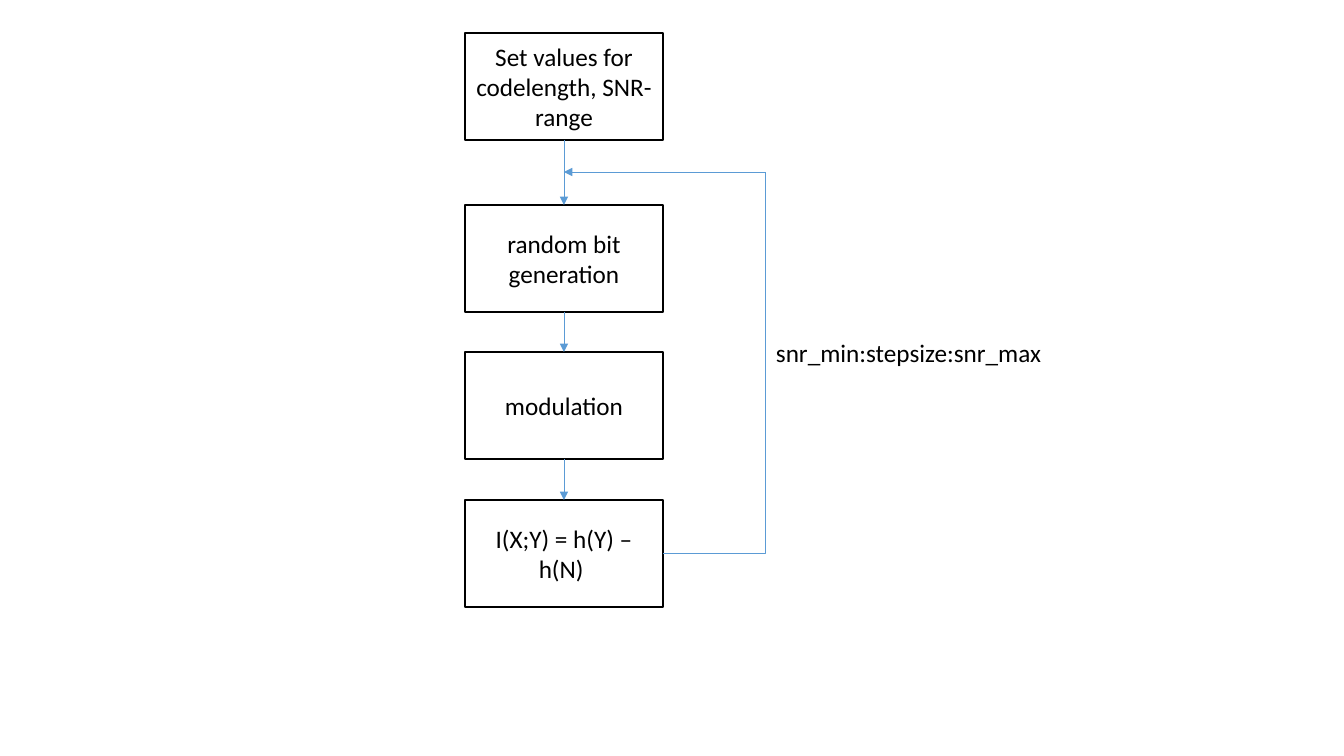
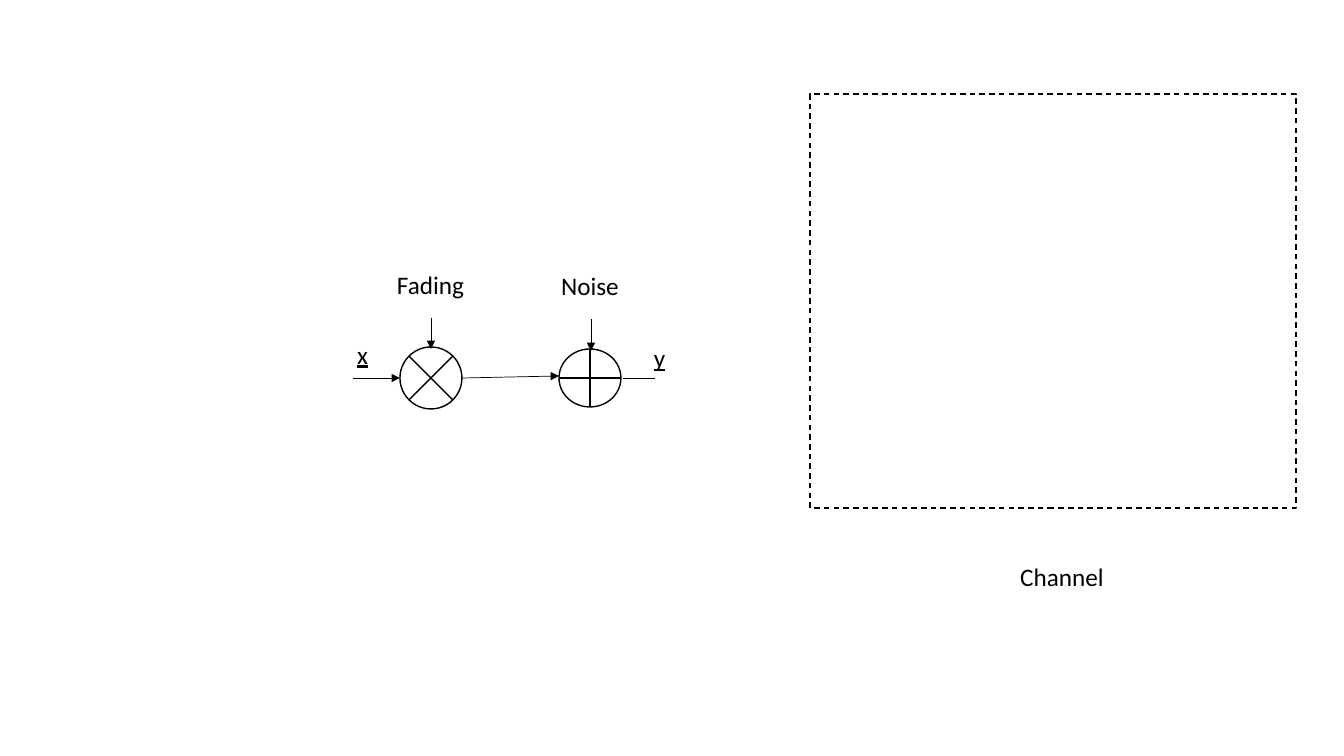
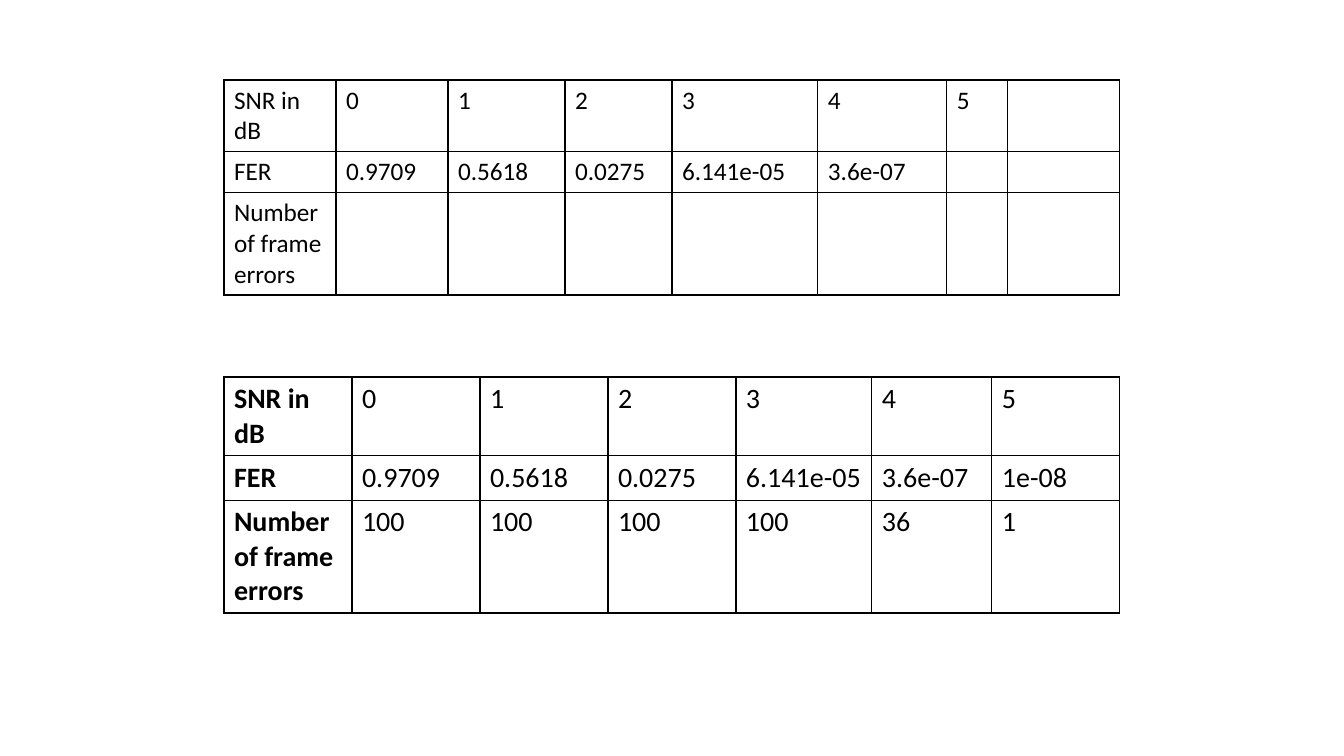
from collections import namedtuple
from dataclasses import dataclass

from lxml import etree
from pptx import Presentation
from pptx.dml.color import RGBColor
from pptx.enum import dml, shapes, text
from pptx.oxml.ns import qn
from pptx.util import Pt

Box = namedtuple("Box", "x y w h")
Form = shapes.MSO_SHAPE
Link = shapes.MSO_CONNECTOR
Align = text.PP_ALIGN


@dataclass(frozen=True)
class Theme:
    font: str = "Calibri"
    ink: str = "000000"
    paper: str = "FFFFFF"
    flow: str = "5B9BD5"
    body: int = 18
    large: int = 20
    edge: float = 1
    thin: float = 0.5


theme = Theme()


def px(n):
    return round(n * 914400 / 100.8)


def tint(code):
    return RGBColor.from_string(code)


def write(frame, words, size=theme.body, align=None, bold=False, under=False):
    para = frame.paragraphs[0]
    para.alignment = align
    run = para.add_run()
    run.text = words
    font = run.font
    font.name, font.size = theme.font, Pt(size)
    font.bold, font.underline = bold, under
    font.color.rgb = tint(theme.ink)


def block(slide, box, words="", form=Form.RECTANGLE, edge=theme.ink):
    item = slide.shapes.add_shape(form, *map(px, box))
    item.shadow.inherit = False
    item.fill.solid()
    item.fill.fore_color.rgb = tint(theme.paper)
    item.line.color.rgb = tint(edge)
    item.line.width = Pt(theme.edge)
    if words:
        item.text_frame.vertical_anchor = text.MSO_ANCHOR.MIDDLE
        write(item.text_frame, words, align=Align.CENTER)
    return item


def label(slide, box, words, **style):
    frame = slide.shapes.add_textbox(*map(px, box)).text_frame
    frame.word_wrap = True
    frame.auto_size = text.MSO_AUTO_SIZE.SHAPE_TO_FIT_TEXT
    write(frame, words, **style)


def link(slide, start, end, color, arrow=True, kind=Link.STRAIGHT):
    line = slide.shapes.add_connector(kind, *map(px, (*start, *end)))
    line.line.color.rgb = tint(color)
    line.line.width = Pt(theme.thin)
    props = line._element.spPr
    etree.SubElement(props, qn("a:effectLst"))
    if arrow:
        etree.SubElement(props.find(qn("a:ln")), qn("a:tailEnd"), type="triangle")
    return line


def flow(slide, box):
    high, mid = 107, box.x + box.w / 2
    steps = (
        (0, "Set values for codelength, SNR-range"),
        (172, "random bit generation"),
        (319, "modulation"),
        (467, "I(X;Y) = h(Y) – h(N) "),
    )
    nodes = [
        block(slide, Box(box.x, box.y + top, box.w, high), words)
        for top, words in steps
    ]
    for (top, _), (low, _), head, foot in zip(steps, steps[1:], nodes, nodes[1:]):
        line = link(slide, (mid, box.y + top + high), (mid, box.y + low), theme.flow)
        line.begin_connect(head, 2)
        line.end_connect(foot, 0)
    side, join = box.x + box.w + 102, box.y + 139
    base = box.y + box.h - high / 2
    turn = link(slide, (box.x + box.w, base), (side, join), theme.flow, False, Link.ELBOW)
    turn._element.spPr.find(qn("a:prstGeom")).set("prst", "bentConnector2")
    link(slide, (side, join), (mid, join), theme.flow)
    label(slide, Box(side + 1, box.y + 299, 291, 40), "snr_min:stepsize:snr_max")


def model(slide, box):
    x, y = box.x, box.y
    axis = y + 126
    block(slide, Box(x + 54, y + 95, 62, 62), form=Form.FLOWCHART_SUMMING_JUNCTION)
    block(slide, Box(x + 213, y + 97, 62, 58), form=Form.FLOWCHART_OR)
    for start, end, arrow in (
        ((x + 7, axis), (x + 54, axis), True),
        ((x + 309, axis), (x + 277, axis), False),
        ((x + 116, axis), (x + 213, axis - 2), True),
        ((x + 85, y + 66), (x + 85, y + 97), True),
        ((x + 245, y + 66), (x + 245, y + 99), True),
    ):
        link(slide, start, end, theme.ink, arrow)
    label(slide, Box(x, y + 82, 32, 40), "x", align=Align.RIGHT, under=True)
    label(slide, Box(x + box.w - 32, y + 85, 32, 40), "y", under=True)
    block(slide, Box(x + 32, y, 105, 65), "Fading", edge=theme.paper)
    block(slide, Box(x + 188, y + 1, 112, 65), "Noise", edge=theme.paper)


def region(slide, box):
    frame = block(slide, box)
    frame.line.dash_style = dml.MSO_LINE.DASH
    tag = Box(box.x + 173, box.y + box.h + 52, 158, 32)
    block(slide, tag, "Channel", edge=theme.paper)


def border(cell):
    props = cell._tc.get_or_add_tcPr()
    for spot, side in enumerate("LRTB"):
        line = etree.Element(qn("a:ln" + side), w=str(Pt(theme.edge)))
        fill = etree.SubElement(line, qn("a:solidFill"))
        etree.SubElement(fill, qn("a:srgbClr"), val=theme.ink)
        props.insert(spot, line)


def grid(slide, box, widths, rows, size, strong=False):
    table = slide.shapes.add_table(len(rows), len(widths), *map(px, box)).table
    table.first_row = table.horz_banding = False
    for col, wide in zip(table.columns, widths):
        col.width = px(wide)
    for r, row in enumerate(rows):
        table.rows[r].height = px(41)
        for c in range(len(widths)):
            cell = table.cell(r, c)
            cell.fill.solid()
            cell.fill.fore_color.rgb = tint(theme.paper)
            border(cell)
            if c < len(row):
                write(cell.text_frame, row[c], size, bold=strong and c == 0)


deck = Presentation()
deck.slide_width, deck.slide_height = px(1344), px(756)
chart, link_up, rates = (deck.slides.add_slide(deck.slide_layouts[6]) for _ in range(3))

flow(chart, Box(465, 33, 198, 574))

region(link_up, Box(810, 94, 486, 414))
model(link_up, Box(346, 252, 330, 157))

snr = ["SNR in dB", *map(str, range(6))]
fer = ["FER", "0.9709", "0.5618", "0.0275", "6.141e-05", "3.6e-07"]
errors = ["Number of frame errors"]
grid(rates, Box(224, 80, 896, 123), (112, 112, 117, 107, 146, 129, 61, 112),
     (snr, fer, errors), theme.body)
grid(rates, Box(224, 377, 896, 123), (128, 128, 128, 128, 136, 120, 128),
     (snr, fer + ["1e-08"], errors + ["100"] * 4 + ["36", "1"]), theme.large, True)

deck.save("out.pptx")
